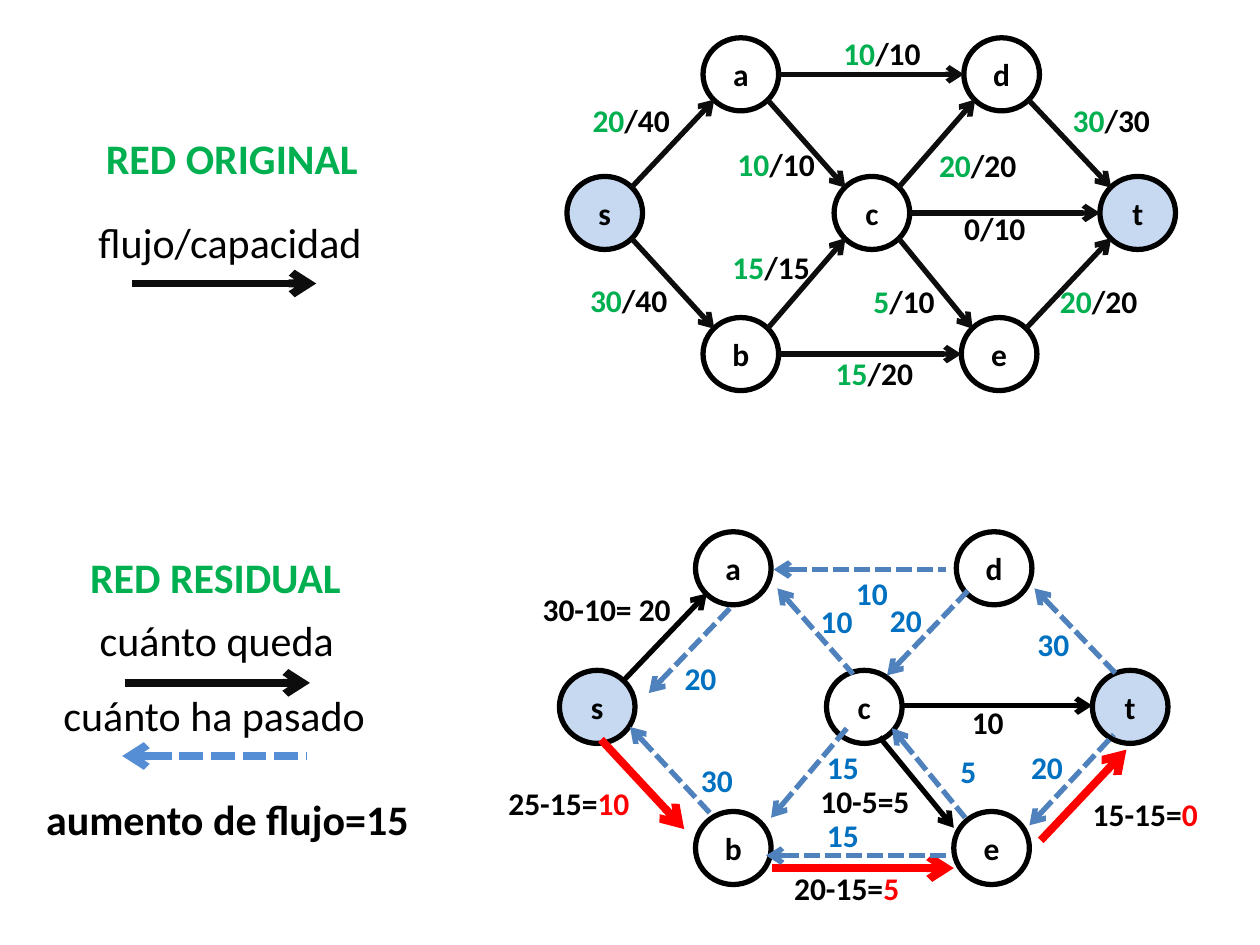
from pptx import Presentation
from pptx import util as u
from pptx.dml import color
from pptx.enum import dml, shapes, text
from pptx.oxml import ns
from lxml import etree

COLORS = {
    "black": "000000", "ink": "0D0D0D", "green": "00B050", "red": "FF0000",
    "number": "0070C0", "back": "4F81BD", "legend": "558ED5", "terminal": "C6D9F1",
}
NODE_WIDTH, NODE_HEIGHT = 0.6, 0.58
CENTERS = {
    "s": (4.8, 1.69), "b": (5.88, 2.81), "e": (7.93, 2.81), "t": (9.03, 1.69),
    "d": (7.95, 0.59), "a": (5.88, 0.59), "c": (6.92, 1.69),
}
RESIDUAL_SHIFT = (-0.06, 3.92)
NARROW = {"/": 0.1, "-": 0.08, " ": 0.06}


def rgb(name):
    return color.RGBColor.from_string(COLORS[name])


def label_width(runs):
    return 0.2 + sum(NARROW.get(letter, 0.13) for part, _ in runs for letter in part)


class Drawing:
    font = "Calibri"

    def __init__(self, slide):
        self.slide = slide

    def set_text(self, shape, runs, size, bold, wrap=False):
        frame = shape.text_frame
        frame.word_wrap = wrap
        paragraph = frame.paragraphs[0]
        paragraph.alignment = text.PP_ALIGN.CENTER
        paragraph.font.name = self.font
        paragraph.font.size = u.Pt(size)
        paragraph.font.bold = bold
        for part, name in runs:
            run = paragraph.add_run()
            run.text = part
            run.font.color.rgb = rgb(name)

    def text(self, left, top, width, height, runs, size=18, bold=True, wrap=False):
        box = self.slide.shapes.add_textbox(
            u.Inches(left), u.Inches(top), u.Inches(width), u.Inches(height))
        self.set_text(box, runs, size, bold, wrap)
        box.text_frame.auto_size = text.MSO_AUTO_SIZE.SHAPE_TO_FIT_TEXT

    def label(self, left, top, *runs):
        self.text(left, top, label_width(runs), 0.4, runs)

    def node(self, name, shift=(0, 0)):
        x, y = (center + offset for center, offset in zip(CENTERS[name], shift))
        shape = self.slide.shapes.add_shape(
            shapes.MSO_SHAPE.OVAL,
            u.Inches(x - NODE_WIDTH / 2), u.Inches(y - NODE_HEIGHT / 2),
            u.Inches(NODE_WIDTH), u.Inches(NODE_HEIGHT))
        shape.shadow.inherit = False
        if name in "st":
            shape.fill.solid()
            shape.fill.fore_color.rgb = rgb("terminal")
        else:
            shape.fill.background()
        shape.line.color.rgb = rgb("black")
        shape.line.width = u.Pt(3)
        shape.text_frame.vertical_anchor = text.MSO_ANCHOR.MIDDLE
        self.set_text(shape, [(name, "black")], 18, True)

    def arrow(self, start, end, name, width=3, backward=False):
        line = self.slide.shapes.add_connector(
            shapes.MSO_CONNECTOR.STRAIGHT, *(u.Inches(value) for value in (*start, *end)))
        line.line.color.rgb = rgb(name)
        line.line.width = u.Pt(width)
        if backward:
            line.line.dash_style = dml.MSO_LINE.SQUARE_DOT
        properties = line._element.spPr
        outline = properties.find(ns.qn("a:ln"))
        tip = "a:headEnd" if backward else "a:tailEnd"
        etree.SubElement(outline, ns.qn(tip), type="arrow")
        etree.SubElement(properties, ns.qn("a:effectLst"))

    def edge(self, source, target):
        (x1, y1), (x2, y2) = CENTERS[source], CENTERS[target]
        if y1 == y2:
            dx, dy = NODE_WIDTH / 2, 0
        else:
            dx, dy = 0.21, 0.2 if y2 > y1 else -0.2
        self.arrow((x1 + dx, y1 + dy), (x2 - dx, y2 - dy), "ink")


FLOWS = [
    (6.59, 0.22, "10", "/10"), (4.6, 0.75, "20", "/40"), (8.41, 0.75, "30", "/30"),
    (5.75, 1.1, "10", "/10"), (8.31, 2.19, "20", "/20"), (4.58, 2.18, "30", "/40"),
    (6.53, 2.76, "15", "/20"), (5.71, 1.92, "15", "/15"), (7.35, 1.11, "20", "/20"),
    (6.83, 2.19, "5", "/10"),
]
EDGES = ["sa", "sb", "be", "dt", "et", "ad", "ct", "ac", "ce", "bc", "cd"]

REMAINING = [
    (4.19, 4.63, "30-10= 20", ""), (7.61, 5.53, "10", ""), (6.4, 6.16, "10-5=5", ""),
    (8.56, 6.26, "15-15=", "0"), (3.92, 6.17, "25-15=", "10"), (6.19, 6.85, "20-15=", "5"),
]
OPEN_ARROWS = [
    ((4.95, 5.4), (5.61, 4.71)), ((7.16, 5.6), (8.67, 5.6)), ((6.98, 5.85), (7.57, 6.57)),
]
AUGMENTING_ARROWS = [
    ((4.77, 5.87), (5.43, 6.58)), ((6.13, 6.89), (7.57, 6.89)), ((8.26, 6.67), (8.94, 5.95)),
]
BACK_ARROWS = [
    ((5.15, 5.5), (5.81, 4.81)), ((6.14, 4.52), (7.51, 4.52)), ((8.21, 4.67), (8.86, 5.35)),
    ((6.17, 4.67), (6.77, 5.35)), ((7.04, 5.36), (7.7, 4.67)), ((5, 5.77), (5.66, 6.48)),
    ((6.12, 6.49), (6.73, 5.77)), ((7.08, 5.78), (7.66, 6.49)), ((8.17, 6.55), (8.84, 5.83)),
    ((6.08, 6.79), (7.52, 6.79)),
]
BACK_LABELS = [
    (5.33, 5.18, "20"), (6.69, 4.51, "10"), (8.13, 4.91, "30"), (6.41, 4.73, "10"),
    (6.96, 4.72, "20"), (5.46, 5.99, "30"), (6.46, 5.89, "15"), (7.52, 5.92, "5"),
    (8.08, 5.89, "20"), (6.46, 6.43, "15"),
]
LEGEND = [
    (0.63, 1, 2.42, "RED ORIGINAL", "green", True, True),
    (0.67, 1.67, 2.31, "flujo/capacidad", "black", False, False),
    (0.5, 4.33, 2.42, "RED RESIDUAL", "green", True, True),
    (0.68, 4.83, 2.08, "cuánto queda", "black", False, False),
    (0.39, 5.42, 2.62, "cuánto ha pasado", "black", False, False),
    (0.25, 6.25, 3.11, "aumento de flujo=15", "black", True, False),
]


def draw_original(drawing):
    for name in CENTERS:
        drawing.node(name)
    for edge in EDGES:
        drawing.edge(*edge)
    for left, top, flow, capacity in FLOWS:
        drawing.label(left, top, (flow, "green"), (capacity, "black"))
    drawing.label(7.55, 1.61, ("0/10", "black"))


def draw_residual(drawing):
    for name in CENTERS:
        drawing.node(name, RESIDUAL_SHIFT)
    for start, end in OPEN_ARROWS:
        drawing.arrow(start, end, "black")
    for start, end in AUGMENTING_ARROWS:
        drawing.arrow(start, end, "red", 4.5)
    for left, top, formula, rest in REMAINING:
        runs = [(formula, "black")] + ([(rest, "red")] if rest else [])
        drawing.label(left, top, *runs)
    for start, end in BACK_ARROWS:
        drawing.arrow(start, end, "back", backward=True)
    for left, top, amount in BACK_LABELS:
        drawing.label(left, top, (amount, "number"))


def draw_legend(drawing):
    for left, top, width, words, name, bold, wrap in LEGEND:
        drawing.text(left, top, width, 0.5, [(words, name)], 24, bold, wrap)
    drawing.arrow((1.05, 2.25), (2.51, 2.25), "ink", 4.5)
    drawing.arrow((0.99, 5.42), (2.46, 5.42), "ink", 4.5)
    drawing.arrow((0.97, 6), (2.43, 6), "legend", 4.5, backward=True)


def main():
    presentation = Presentation()
    presentation.slide_width = u.Inches(10)
    presentation.slide_height = u.Inches(7.5)
    drawing = Drawing(presentation.slides.add_slide(presentation.slide_layouts[6]))
    draw_original(drawing)
    draw_residual(drawing)
    draw_legend(drawing)
    presentation.save("out.pptx")


if __name__ == "__main__":
    main()
